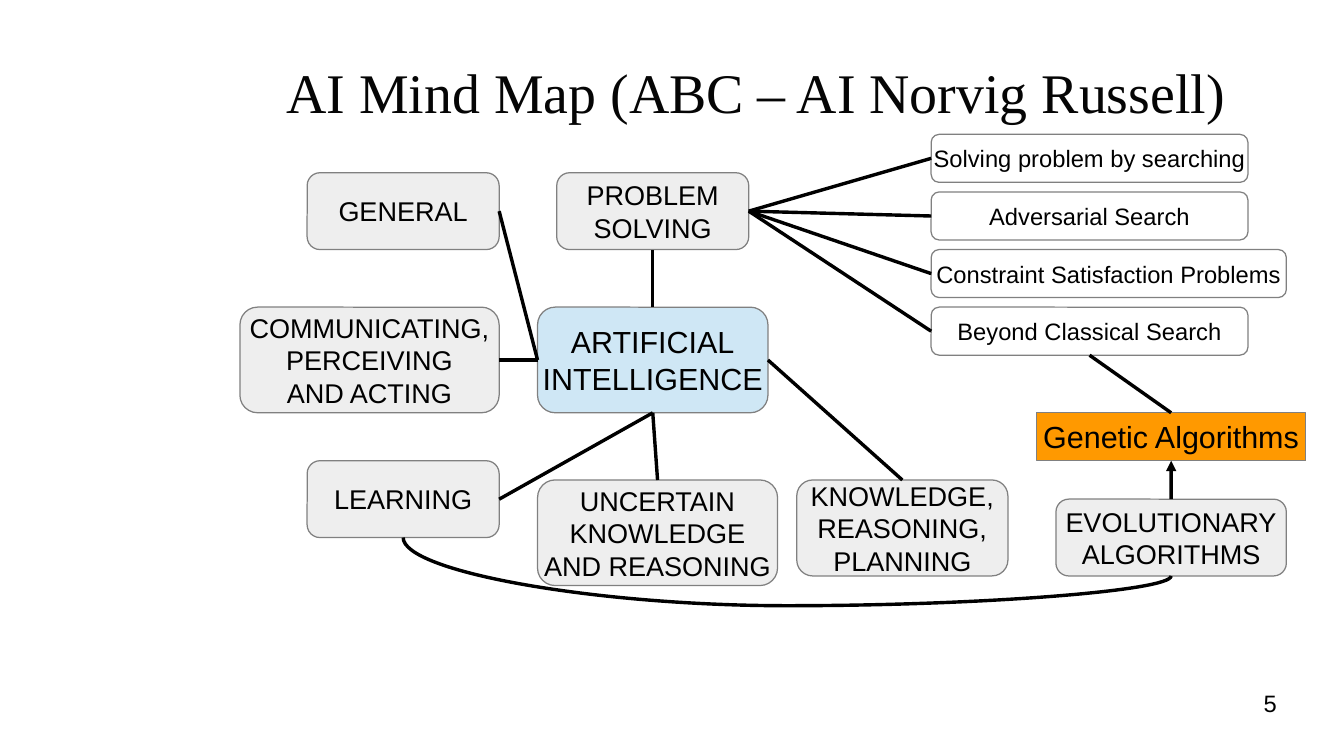
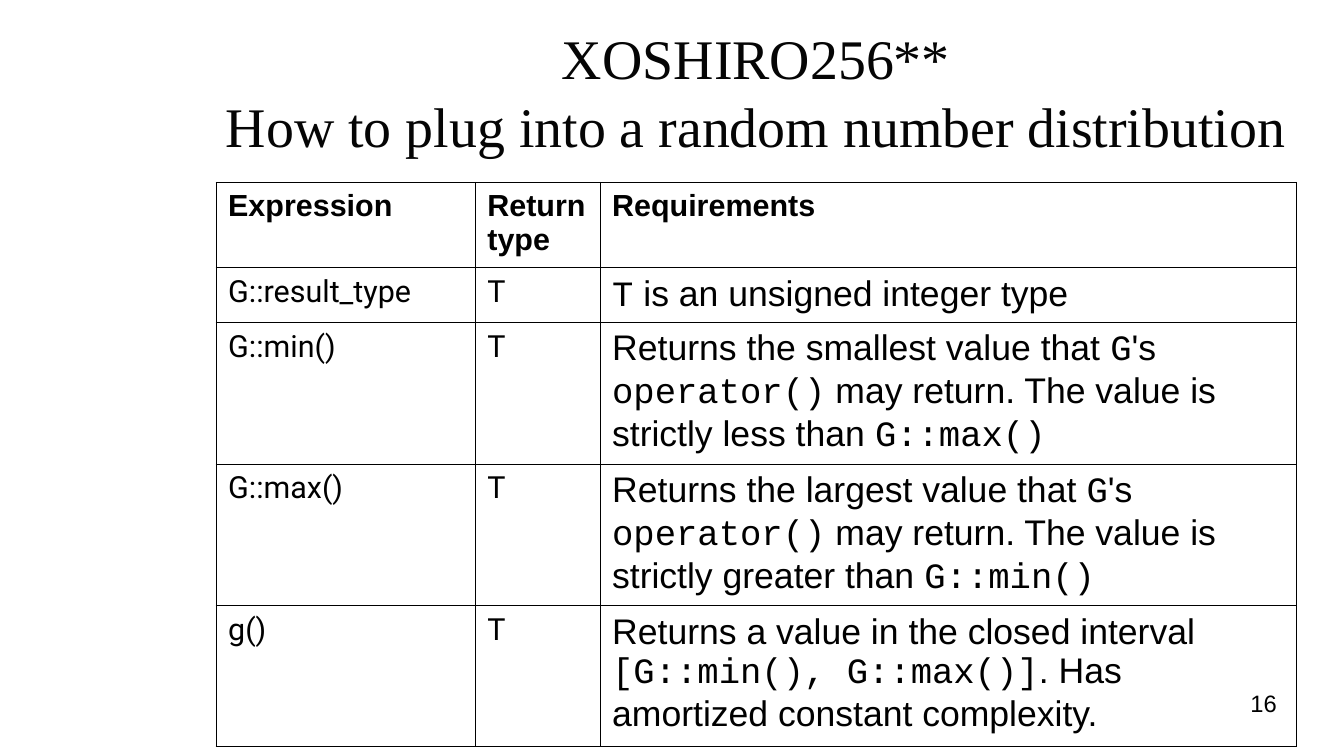
from dataclasses import dataclass
from typing import NamedTuple

from lxml.etree import SubElement
from pptx import Presentation
from pptx.dml.color import RGBColor
from pptx.enum.shapes import MSO_CONNECTOR as Link, MSO_SHAPE as Shape
from pptx.enum.text import MSO_ANCHOR as Anchor, PP_ALIGN as Align
from pptx.oxml.ns import qn
from pptx.util import Cm, Pt


@dataclass(frozen=True)
class Theme:
    ink: str = "000000"
    title_ink: str = "050505"
    outline: str = "808080"
    core: str = "CFE7F5"
    topic: str = "EEEEEE"
    method: str = "FFFFFF"
    focus: str = "FF9900"
    title_font: str = "Times New Roman"
    body_font: str = "Arial"
    name_font: str = "Roboto"
    code_font: str = "Courier New"
    title_size: int = 33
    detail_size: int = 21
    large_size: int = 18
    topic_size: int = 16
    small_size: int = 14
    hairline: float = 0
    border: float = 0.57


class Box(NamedTuple):
    left: float
    top: float
    width: float
    height: float

    def lengths(self):
        return [Cm(value) for value in self]


THEME = Theme()

# Page layout in centimetres
PAGE_WIDTH, PAGE_HEIGHT = 28, 15.75
TITLE_BOX = Box(4.5, 0.6, 22.5, 2.6)
NUMBER_BOX = Box(20.07, 14.35, 6.53, 1.09)
MAP_BOX = Box(5, 2.8, 22.2, 9.4)
TABLE_BOX = Box(4.5, 3.8, 22.5, 11.52)

# Mind map grid and connection sites
MAP_COLUMNS, MAP_ROWS = 111, 47
TOP, LEFT, BOTTOM, RIGHT = range(4)

# Each topic: label, column, row, columns wide, rows high
TOPICS = {
    "general": ("GENERAL", 7, 4, 20, 8),
    "solving": ("PROBLEM\nSOLVING", 33, 4, 20, 8),
    "planning": ("KNOWLEDGE,\nREASONING,\nPLANNING", 58, 36, 22, 10),
    "learning": ("LEARNING", 7, 34, 20, 8),
    "uncertain": ("UNCERTAIN\nKNOWLEDGE\nAND REASONING", 31, 36, 25, 11),
    "acting": ("COMMUNICATING,\nPERCEIVING\nAND ACTING", 0, 18, 27, 11),
    "evolution": ("EVOLUTIONARY\nALGORITHMS", 85, 38, 24, 8),
}
# Each search method: label, columns wide
METHODS = [
    ("Solving problem by searching", 33),
    ("Adversarial Search", 33),
    ("Constraint Satisfaction Problems", 37),
    ("Beyond Classical Search", 33),
]
METHOD_COLUMN, METHOD_STEP, METHOD_ROWS = 72, 6, 5

BRANCHES = [
    ("core", LEFT, "general", RIGHT),
    ("core", TOP, "solving", BOTTOM),
    ("core", RIGHT, "planning", TOP),
    ("core", BOTTOM, "uncertain", TOP),
    ("core", BOTTOM, "learning", RIGHT),
    ("core", LEFT, "acting", RIGHT),
    ("Beyond Classical Search", BOTTOM, "genetic", TOP),
] + [("solving", RIGHT, label, LEFT) for label, _ in METHODS]

# Backticks enclose code
COLUMN_WIDTHS = [5.4, 2.6, 14.5]
ROW_HEIGHTS = [1.69, 1.14, 2.95, 2.95, 2.79]
HEADINGS = ["Expression", "Return type", "Requirements"]
LIMIT = ("Returns the {} value that `G`'s `operator()` may return. "
         "The value is strictly {} than `{}`")
REQUIREMENTS = [
    ("G::result_type", "`T` is an unsigned integer type"),
    ("G::min()", LIMIT.format("smallest", "less", "G::max()")),
    ("G::max()", LIMIT.format("largest", "greater", "G::min()")),
    ("g()", "Returns a value in the closed interval "
            "`[G::min(), G::max()]`. Has amortized constant complexity."),
]


def style(span, size, font=THEME.body_font, color=THEME.ink, bold=False):
    span.font.size = Pt(size)
    span.font.name = font
    span.font.color.rgb = RGBColor.from_string(color)
    span.font.bold = bold


def write(frame, text, align, *look):
    frame.text = text
    for para in frame.paragraphs:
        para.alignment = align
        for span in para.runs:
            style(span, *look)


# Shared page parts
def add_label(page, box, text, align, anchor, *look):
    frame = page.shapes.add_textbox(*box.lengths()).text_frame
    frame.word_wrap = True
    frame.vertical_anchor = anchor
    frame.margin_left = frame.margin_right = 0
    frame.margin_top = frame.margin_bottom = 0
    write(frame, text, align, *look)


def add_title(page, lines):
    add_label(page, TITLE_BOX, "", Align.CENTER, Anchor.MIDDLE)
    para = page.shapes[-1].text_frame.paragraphs[0]
    para.text = "\v".join(lines)
    for span in para.runs:
        style(span, THEME.title_size, THEME.title_font, THEME.title_ink)


def add_number(page, number):
    add_label(page, NUMBER_BOX, str(number), Align.RIGHT, Anchor.TOP,
              THEME.small_size)


# Mind map parts
def add_node(page, box, label, fill, size, kind=Shape.FLOWCHART_ALTERNATE_PROCESS):
    node = page.shapes.add_shape(kind, *box.lengths())
    node.shadow.inherit = False
    node.fill.solid()
    node.fill.fore_color.rgb = RGBColor.from_string(fill)
    node.line.color.rgb = RGBColor.from_string(THEME.outline)
    node.line.width = Pt(THEME.hairline)
    node.text_frame.word_wrap = False
    node.text_frame.vertical_anchor = Anchor.MIDDLE
    write(node.text_frame, label, Align.CENTER, size)
    return node


def add_link(page, kind=Link.STRAIGHT, ends=(0, 0, 0, 0)):
    link = page.shapes.add_connector(kind, *ends)
    link.line.color.rgb = RGBColor.from_string(THEME.ink)
    link.line.width = Pt(THEME.hairline)
    SubElement(link._element.spPr, qn("a:effectLst"))
    return link


def join(page, start, start_side, end, end_side):
    link = add_link(page)
    link.begin_connect(start, start_side)
    link.end_connect(end, end_side)
    return link


def add_sag(page, start, end, depth):
    """Curve from under one node to under another, sagging below the first."""
    x1, y1 = start.left + start.width // 2, start.top + start.height
    x2, y2 = end.left + end.width // 2, end.top + end.height
    middle_x, middle_y = (x1 + x2) // 2, (y1 + y2) // 2
    half_run, half_drop = (x2 - x1) // 2, (y2 - y1) // 2
    # A quarter turn swaps the run and the drop
    curve = add_link(page, Link.CURVE, (
        middle_x + half_drop, middle_y - half_run,
        middle_x - half_drop, middle_y + half_run))
    curve.rotation = 270
    guides = curve._element.spPr.find(qn("a:prstGeom")).get_or_add_avLst()
    bend = round(depth / (y2 - y1) * 100000)
    SubElement(guides, qn("a:gd"), name="adj1", fmla=f"val {bend}")


def add_mind_map(page, box):
    def cell(column, row, columns, rows):
        wide, high = box.width / MAP_COLUMNS, box.height / MAP_ROWS
        return Box(box.left + column * wide, box.top + row * high,
                   columns * wide, rows * high)

    # Nodes
    nodes = {"core": add_node(page, cell(31, 18, 24, 11),
                              "ARTIFICIAL\nINTELLIGENCE", THEME.core, THEME.large_size)}
    for name, (label, *place) in TOPICS.items():
        nodes[name] = add_node(page, cell(*place), label, THEME.topic, THEME.topic_size)
    for index, (label, columns) in enumerate(METHODS):
        place = cell(METHOD_COLUMN, index * METHOD_STEP, columns, METHOD_ROWS)
        nodes[label] = add_node(page, place, label, THEME.method, THEME.small_size)
    nodes["genetic"] = add_node(page, cell(83, 29, 28, 5), "Genetic Algorithms",
                                THEME.focus, THEME.large_size, Shape.FLOWCHART_PROCESS)

    # Links
    for start, start_side, end, end_side in BRANCHES:
        join(page, nodes[start], start_side, nodes[end], end_side)
    arrow = join(page, nodes["evolution"], TOP, nodes["genetic"], BOTTOM)
    SubElement(arrow.line._get_or_add_ln(), qn("a:tailEnd"), type="triangle")
    add_sag(page, nodes["learning"], nodes["evolution"], Cm(1.42))


# Table parts
def outline_cell(cell):
    cell.fill.background()
    props = cell._tc.get_or_add_tcPr()
    for index, side in enumerate(("lnL", "lnR", "lnT", "lnB")):
        edge = SubElement(props, qn(f"a:{side}"), w=str(Pt(THEME.border)))
        SubElement(SubElement(edge, qn("a:solidFill")), qn("a:srgbClr"), val=THEME.ink)
        props.insert(index, edge)


def write_requirement(cell, text):
    para = cell.text_frame.paragraphs[0]
    for index, part in enumerate(text.split("`")):
        if part:
            span = para.add_run()
            span.text = part
            font = THEME.code_font if index % 2 else THEME.body_font
            style(span, THEME.detail_size, font)


def add_requirements(page, box):
    table = page.shapes.add_table(len(ROW_HEIGHTS), len(COLUMN_WIDTHS),
                                  *box.lengths()).table
    table.first_row = table.horz_banding = False
    for column, width in zip(table.columns, COLUMN_WIDTHS):
        column.width = Cm(box.width * width / sum(COLUMN_WIDTHS))
    for row, height in zip(table.rows, ROW_HEIGHTS):
        row.height = Cm(box.height * height / sum(ROW_HEIGHTS))
    for cell in table.iter_cells():
        outline_cell(cell)

    for column, heading in enumerate(HEADINGS):
        write(table.cell(0, column).text_frame, heading, Align.LEFT,
              THEME.large_size, THEME.body_font, THEME.ink, True)
    for row, (expression, requirement) in enumerate(REQUIREMENTS, 1):
        for column, text in enumerate((expression, "T")):
            write(table.cell(row, column).text_frame, text, Align.LEFT,
                  THEME.large_size, THEME.name_font)
        write_requirement(table.cell(row, 2), requirement)


def add_page(deck, title_lines, add_content, box, number):
    page = deck.slides.add_slide(deck.slide_layouts[6])
    add_title(page, title_lines)
    add_content(page, box)
    add_number(page, number)


deck = Presentation()
deck.slide_width, deck.slide_height = Cm(PAGE_WIDTH), Cm(PAGE_HEIGHT)
add_page(deck, ["AI Mind Map (ABC – AI Norvig Russell)"], add_mind_map, MAP_BOX, 5)
add_page(deck, ["XOSHIRO256**", "How to plug into a random number distribution"],
         add_requirements, TABLE_BOX, 16)
deck.save("out.pptx")
